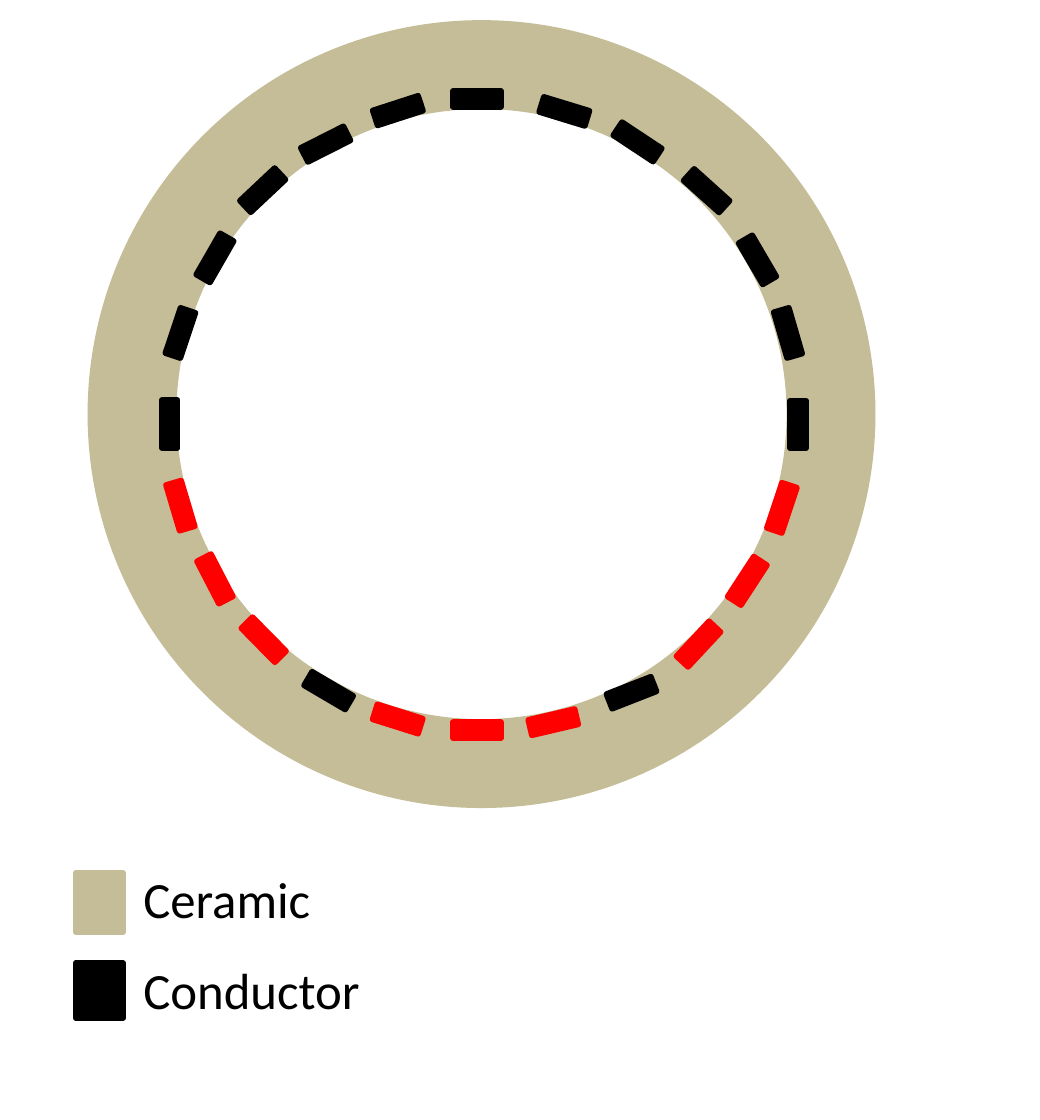
"""Draw a ceramic ring lined with conductor segments, and its legend."""
import pptx
import pptx.dml.color
import pptx.enum.shapes
import pptx.enum.text
import pptx.util

CERAMIC = pptx.dml.color.RGBColor(0xC4, 0xBD, 0x97)
BLACK = pptx.dml.color.RGBColor(0, 0, 0)
RED = pptx.dml.color.RGBColor(0xFF, 0, 0)
CELL = pptx.util.Inches(0.01)
SEGMENT_WIDTH, SEGMENT_HEIGHT = 23.5, 7.8
SWATCH_LEFT, SWATCH_WIDTH = 37.2, 23.5

deck = pptx.Presentation()
deck.slide_width = pptx.util.Cm(13)
deck.slide_height = pptx.util.Cm(14)
slide = deck.slides.add_slide(deck.slide_layouts[6])


def add_part(kind, *cells, colour, line=2, filled=True, tilt=0):
    part = slide.shapes.add_shape(kind, *[round(cell * CELL) for cell in cells])
    part.shadow.inherit = False
    part.rotation = tilt
    if filled:
        part.fill.solid()
        part.fill.fore_color.rgb = colour
    else:
        part.fill.background()
    part.line.color.rgb = colour
    part.line.width = pptx.util.Pt(line)


def add_label(text, *cells, size=18, font="Calibri", colour=BLACK):
    label = slide.shapes.add_textbox(*[round(cell * CELL) for cell in cells]).text_frame
    label.word_wrap = False
    label.auto_size = pptx.enum.text.MSO_AUTO_SIZE.SHAPE_TO_FIT_TEXT
    run = label.paragraphs[0].add_run()
    run.text = text
    run.font.size = pptx.util.Pt(size)
    run.font.name = font
    run.font.color.rgb = colour


OVAL = pptx.enum.shapes.MSO_SHAPE.OVAL
RECTANGLE = pptx.enum.shapes.MSO_SHAPE.RECTANGLE

add_part(OVAL, 65, 31.8, 344, 344, colour=CERAMIC, line=31.5, filled=False)

clockwise_segments = [
    (223, 44.8, 0, BLACK),
    (266, 51, 17, BLACK),
    (302, 66, 33.5, BLACK),
    (336, 90, 42, BLACK),
    (361, 124, 59.7, BLACK),
    (376, 160, 73.8, BLACK),
    (381, 205, 90, BLACK),
    (373, 246, 108.4, RED),
    (356, 282, 123.1, RED),
    (332, 313, 133, RED),
    (299, 337, 158.6, BLACK),
    (260.5, 351.5, 166.8, RED),
    (223, 355.5, 0, RED),
    (184, 350, 17.5, RED),
    (150, 336, 30.4, BLACK),
    (118, 311, 45.4, RED),
    (94, 281, 62.6, RED),
    (77, 245, 73.4, RED),
    (71.7, 204.8, 90, BLACK),
    (77, 160, 108.5, BLACK),
    (94, 123, 119.9, BLACK),
    (117.5, 89.7, 136.8, BLACK),
    (148.5, 67, 153.2, BLACK),
    (184, 50.5, 162, BLACK),
]
for column, row, tilt, colour in clockwise_segments:
    add_part(RECTANGLE, column, row, SEGMENT_WIDTH, SEGMENT_HEIGHT,
             colour=colour, tilt=tilt)

legend = [
    ("Ceramic", CERAMIC, 429.7, 29, 422, 103),
    ("Conductor", BLACK, 474, 27, 467, 128),
]
for material, colour, swatch_row, swatch_height, label_row, label_width in legend:
    add_part(RECTANGLE, SWATCH_LEFT, swatch_row, SWATCH_WIDTH, swatch_height,
             colour=colour)
    add_label(material, SWATCH_LEFT + SWATCH_WIDTH, label_row, label_width, 40)

deck.save("out.pptx")
